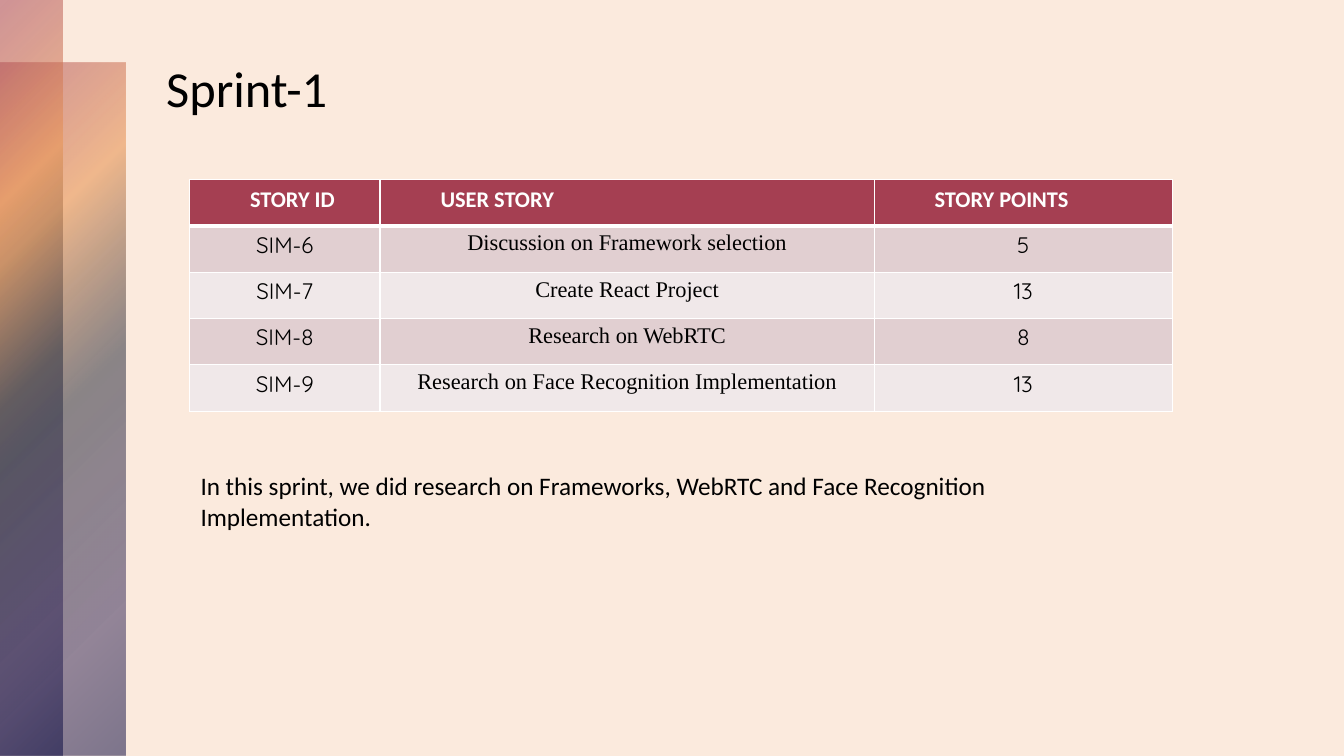
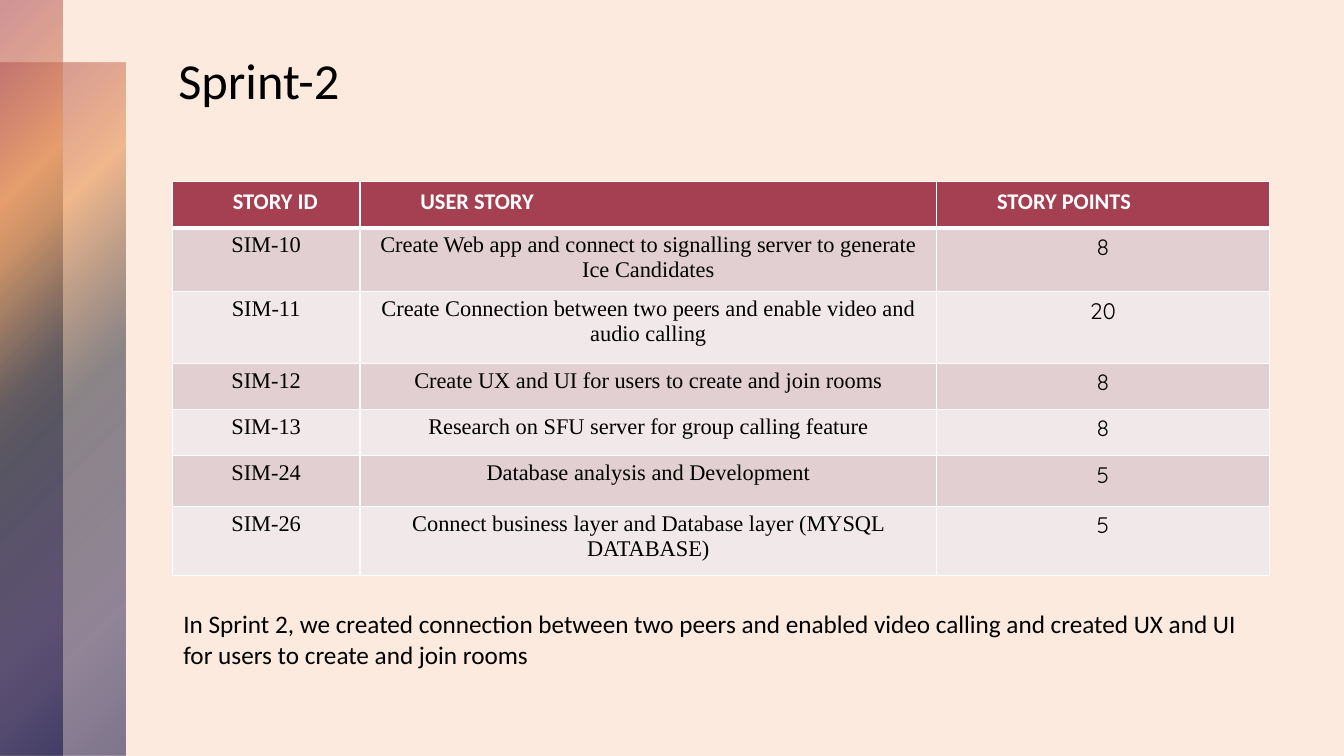
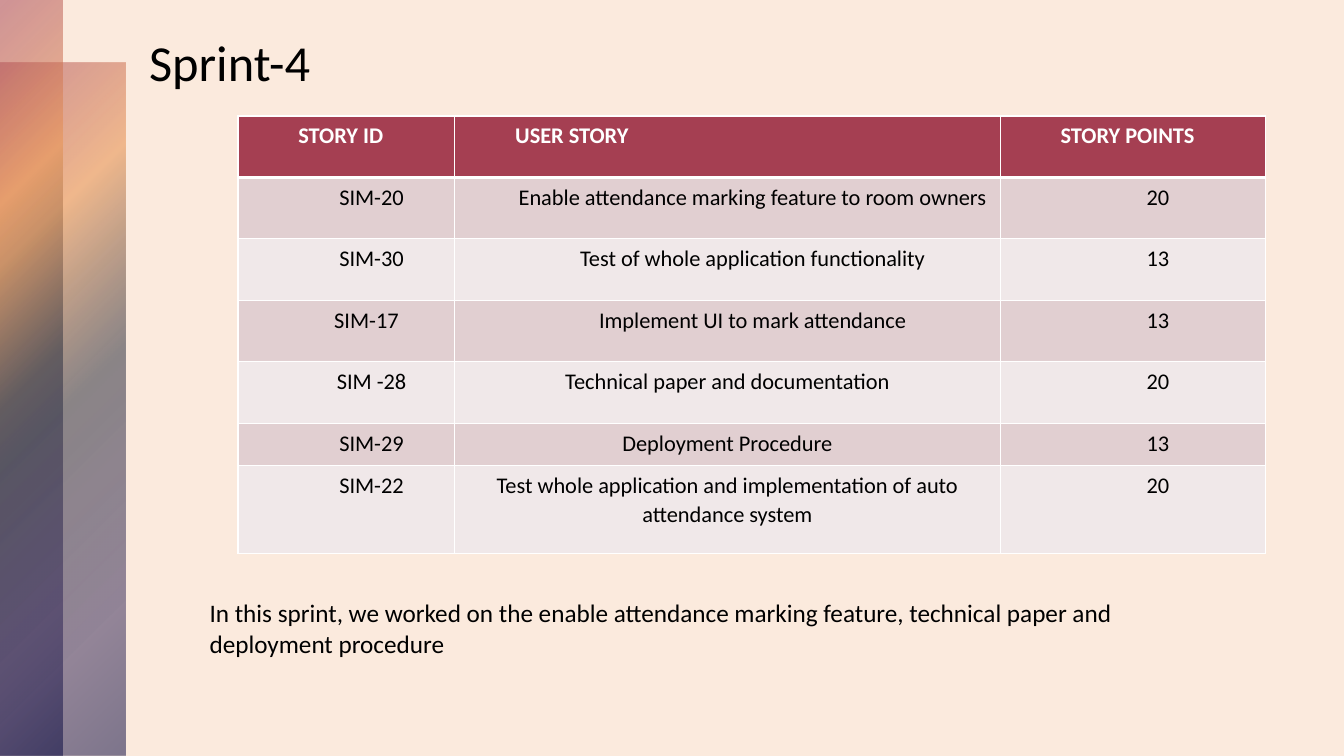
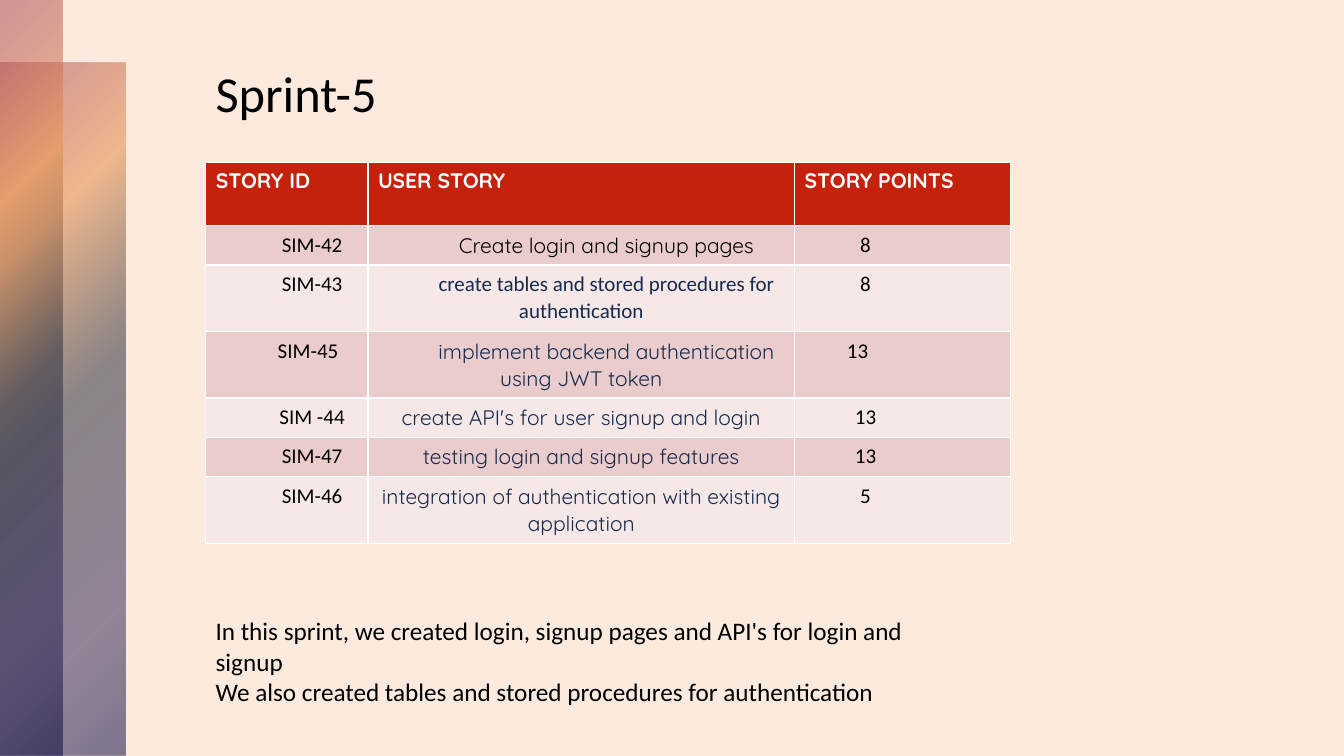
from dataclasses import dataclass, replace

from lxml import etree
from pptx import Presentation
from pptx.dml.color import RGBColor
from pptx.enum.shapes import MSO_SHAPE
from pptx.enum.text import PP_ALIGN
from pptx.oxml import parse_xml
from pptx.oxml.ns import nsdecls, qn
from pptx.util import Inches, Pt


@dataclass(frozen=True)
class Theme:
    page: str = "FBEADD"
    ink: str = "000000"
    navy: str = "172B4D"
    white: str = "FFFFFF"
    font: str = "Calibri"
    serif: str = "Times New Roman"
    rounded: str = "Quicksand"
    title_size: int = 36
    note_size: int = 18
    line_spacing: float = 1.06
    space_after: int = 8
    # position %, colour, opacity %
    band_stops: tuple = ((0, "A53F52", 50), (25, "E99757", 60), (50, "2F3342", 55),
                         (81, "2C2153", 50), (99, "01023B", 50))


THEME = Theme()


@dataclass(frozen=True)
class CellStyle:
    font: str = THEME.font
    color: str = THEME.ink
    align: PP_ALIGN = PP_ALIGN.CENTER
    indent: float = 0
    spaced: bool = False


@dataclass(frozen=True)
class TableStyle:
    header: CellStyle
    columns: tuple
    size: int = 16
    header_fill: str = "A53F52"
    band_fills: tuple = ("E1CFD1", "F0E8E9")
    header_rule: int = 3


@dataclass(frozen=True)
class Sprint:
    title: str
    title_box: tuple
    notes: tuple
    note_box: tuple
    style: TableStyle
    table_at: tuple
    widths: tuple
    heights: tuple
    stories: tuple


HEADINGS = ("STORY ID", "USER STORY", "STORY POINTS")

PLAIN = CellStyle()
SERIF = CellStyle(font=THEME.serif)
ROUNDED = CellStyle(font=THEME.rounded)
SPACED = CellStyle(spaced=True)
INDENTED = replace(SPACED, indent=0.5)
HEADER = replace(INDENTED, color=THEME.white, align=PP_ALIGN.LEFT)
NAVY_STORY = replace(SPACED, font=THEME.rounded, color=THEME.navy)
LEFT_POINTS = replace(INDENTED, align=PP_ALIGN.LEFT)
DIGIT = replace(LEFT_POINTS, indent=0.55)

MIXED_TABLE = TableStyle(HEADER, (ROUNDED, SERIF, ROUNDED))
SERIF_TABLE = TableStyle(HEADER, (SERIF, SERIF, ROUNDED))
INDENTED_TABLE = TableStyle(HEADER, (INDENTED, SPACED, INDENTED))
RED_TABLE = TableStyle(
    CellStyle(THEME.rounded, THEME.white, PP_ALIGN.LEFT),
    (INDENTED, NAVY_STORY, LEFT_POINTS),
    size=15, header_fill="C4220D", band_fills=("EACCCC", "F5E8E7"), header_rule=1)

# A cell is its text, or (text, style) where it departs from its column.
SPRINTS = (
    Sprint(
        "Sprint-1", (1.55, 0.52, 1.81, 0.71),
        ("In this sprint, we did research on Frameworks, WebRTC and Face Recognition "
         "Implementation.",), (1.89, 4.62, 9.55, 1.01),
        MIXED_TABLE, (1.88, 1.78), (1.89, 4.9, 2.96), (0.46,) * 5,
        (("SIM-6", "Discussion on Framework selection", "5"),
         ("SIM-7", "Create React Project", "13"),
         ("SIM-8", "Research on WebRTC", "8"),
         ("SIM-9", "Research on Face Recognition Implementation", "13"))),
    Sprint(
        "Sprint-2", (1.67, 0.44, 3.32, 0.71),
        ("In Sprint 2, we created connection between two peers and enabled video calling "
         "and created UX and UI for users to create and join rooms",),
        (1.72, 5.99, 10.88, 1.01),
        SERIF_TABLE, (1.71, 1.8), (1.86, 5.72, 3.3),
        (0.46, 0.62, 0.71, 0.46, 0.46, 0.5, 0.69),
        (("SIM-10", "Create Web app and connect to signalling server to generate "
          "Ice Candidates", "8"),
         ("SIM-11", "Create Connection between two peers and enable video and "
          "audio calling", "20"),
         ("SIM-12", "Create UX and UI for users to create and join rooms", "8"),
         ("SIM-13", "Research on SFU server for group calling feature", "8"),
         ("SIM-24", "Database analysis and Development", "5"),
         ("SIM-26", "Connect business layer and Database layer (MYSQL DATABASE)", "5"))),
    Sprint(
        "Sprint-4", (1.38, 0.26, 2.18, 1.01),
        ("In this sprint, we worked on the enable attendance marking feature, technical "
         "paper and deployment procedure",), (1.98, 5.88, 10.38, 0.71),
        INDENTED_TABLE, (2.36, 1.15), (2.15, 5.41, 2.63),
        (0.61,) * 5 + (0.42, 0.87),
        (("SIM-20", ("Enable attendance marking feature to room owners", INDENTED), "20"),
         ("SIM-30", ("Test of whole application functionality", INDENTED), "13"),
         (("SIM-17", replace(INDENTED, indent=0.4)),
          ("Implement UI to mark attendance", INDENTED), "13"),
         ("SIM -28", "Technical paper and documentation", "20"),
         ("SIM-29", "Deployment Procedure", "13"),
         ("SIM-22", "Test whole application and implementation of auto "
          "attendance system", "20"))),
    Sprint(
        "Sprint-5", (2.04, 0.57, 2.13, 0.71),
        ("In this sprint, we created login, signup pages and API's for login and signup",
         "We also created tables and stored procedures for authentication"),
        (2.04, 6.06, 7.5, 1.31),
        RED_TABLE, (2.04, 1.61), (1.61, 4.23, 2.14),
        (0.63, 0.39, 0.66, 0.66, 0.39, 0.39, 0.66),
        (("SIM-42", ("Create login and signup pages",
                     replace(INDENTED, font=THEME.rounded)), ("8", DIGIT)),
         ("SIM-43", ("create tables and stored procedures for authentication",
                     replace(INDENTED, color=THEME.navy)), ("8", DIGIT)),
         (("SIM-45", replace(INDENTED, indent=0.42)),
          ("implement backend authentication using JWT token",
           replace(NAVY_STORY, indent=0.5)),
          ("13", replace(LEFT_POINTS, indent=0.42))),
         ("SIM -44", "create API's for user signup and login", "13"),
         ("SIM-47", "testing login and signup features", "13"),
         ("SIM-46", "integration of authentication with existing application",
          ("5", DIGIT)))),
)


def inches(values):
    return [Inches(value) for value in values]


def write(para, text, color, **formats):
    span = para.add_run()
    span.text = text
    span.font.color.rgb = RGBColor.from_string(color)
    for name, value in formats.items():
        setattr(span.font, name, value)


def add_text(page, box, lines, size):
    frame = page.shapes.add_textbox(*inches(box)).text_frame
    frame.word_wrap = True
    for number, line in enumerate(lines):
        para = frame.add_paragraph() if number else frame.paragraphs[0]
        write(para, line, THEME.ink, name=THEME.font, size=Pt(size))


def add_band(page, box):
    """Draw a borderless strip with a see-through gradient from its top left corner."""
    band = page.shapes.add_shape(MSO_SHAPE.RECTANGLE, *inches(box))
    band.shadow.inherit = False
    band.line.fill.background()
    stops = "".join(
        f'<a:gs pos="{place * 1000}"><a:srgbClr val="{color}">'
        f'<a:alpha val="{opacity * 1000}"/></a:srgbClr></a:gs>'
        for place, color, opacity in THEME.band_stops)
    gradient = parse_xml(
        f'<a:gradFill {nsdecls("a")} rotWithShape="1"><a:gsLst>{stops}</a:gsLst>'
        '<a:path path="circle"><a:fillToRect r="100000" b="100000"/></a:path></a:gradFill>')
    band._element.spPr.find(qn("a:prstGeom")).addnext(gradient)


def set_borders(cell, **widths):
    """Give each side, named as in lnL, lnR, lnT and lnB, a white line in points."""
    props = cell._tc.get_or_add_tcPr()
    for number, side in enumerate(("lnL", "lnR", "lnT", "lnB")):
        line = etree.Element(qn(f"a:{side}"), w=str(Pt(widths.get(side, 1))))
        fill = etree.SubElement(line, qn("a:solidFill"))
        etree.SubElement(fill, qn("a:srgbClr"), val=THEME.white)
        props.insert(number, line)


def fill_cell(cell, text, style, size, fill, bold):
    cell.fill.solid()
    cell.fill.fore_color.rgb = RGBColor.from_string(fill)
    para = cell.text_frame.paragraphs[0]
    para.alignment = style.align
    if style.indent:
        para._p.get_or_add_pPr().set("indent", str(Inches(style.indent)))
    if style.spaced:
        para.line_spacing = THEME.line_spacing
        para.space_after = Pt(THEME.space_after)
    write(para, text, style.color, name=style.font, size=Pt(size), bold=bold)


def add_story_table(page, sprint):
    style = sprint.style
    box = (*sprint.table_at, sum(sprint.widths), sum(sprint.heights))
    table = page.shapes.add_table(
        len(sprint.heights), len(sprint.widths), *inches(box)).table
    table.first_row = table.horz_banding = False
    for column, width in zip(table.columns, sprint.widths):
        column.width = Inches(width)
    for row, height in zip(table.rows, sprint.heights):
        row.height = Inches(height)

    for r, entries in enumerate((HEADINGS, *sprint.stories)):
        is_header = r == 0
        fill = style.header_fill if is_header else style.band_fills[(r - 1) % 2]
        rules = {0: {"lnB": style.header_rule}, 1: {"lnT": style.header_rule}}.get(r, {})
        for c, entry in enumerate(entries):
            default = style.header if is_header else style.columns[c]
            text, look = (entry, default) if isinstance(entry, str) else entry
            cell = table.cell(r, c)
            fill_cell(cell, text, look, style.size, fill, is_header)
            set_borders(cell, **rules)


def add_sprint_page(deck, sprint):
    page = deck.slides.add_slide(deck.slide_layouts[6])
    add_band(page, (0, 0.62, 1.24, 6.88))
    add_band(page, (0, 0, 0.62, 7.5))
    add_story_table(page, sprint)
    add_text(page, sprint.title_box, (sprint.title,), THEME.title_size)
    add_text(page, sprint.note_box, sprint.notes, THEME.note_size)


def main():
    deck = Presentation()
    deck.slide_width, deck.slide_height = inches((13.33, 7.5))
    backdrop = deck.slide_master.background.fill
    backdrop.solid()
    backdrop.fore_color.rgb = RGBColor.from_string(THEME.page)
    for sprint in SPRINTS:
        add_sprint_page(deck, sprint)
    deck.save("out.pptx")


if __name__ == "__main__":
    main()
